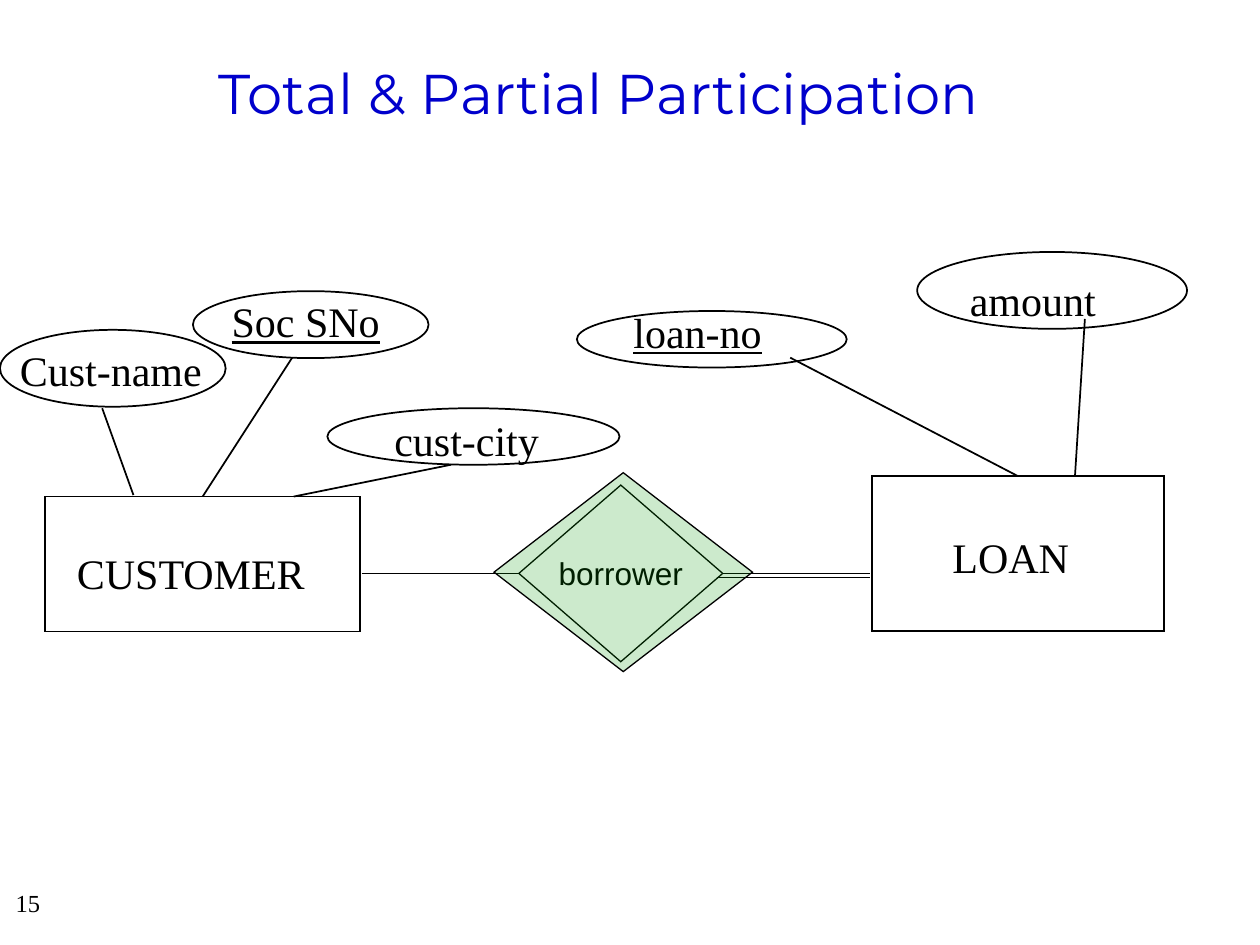
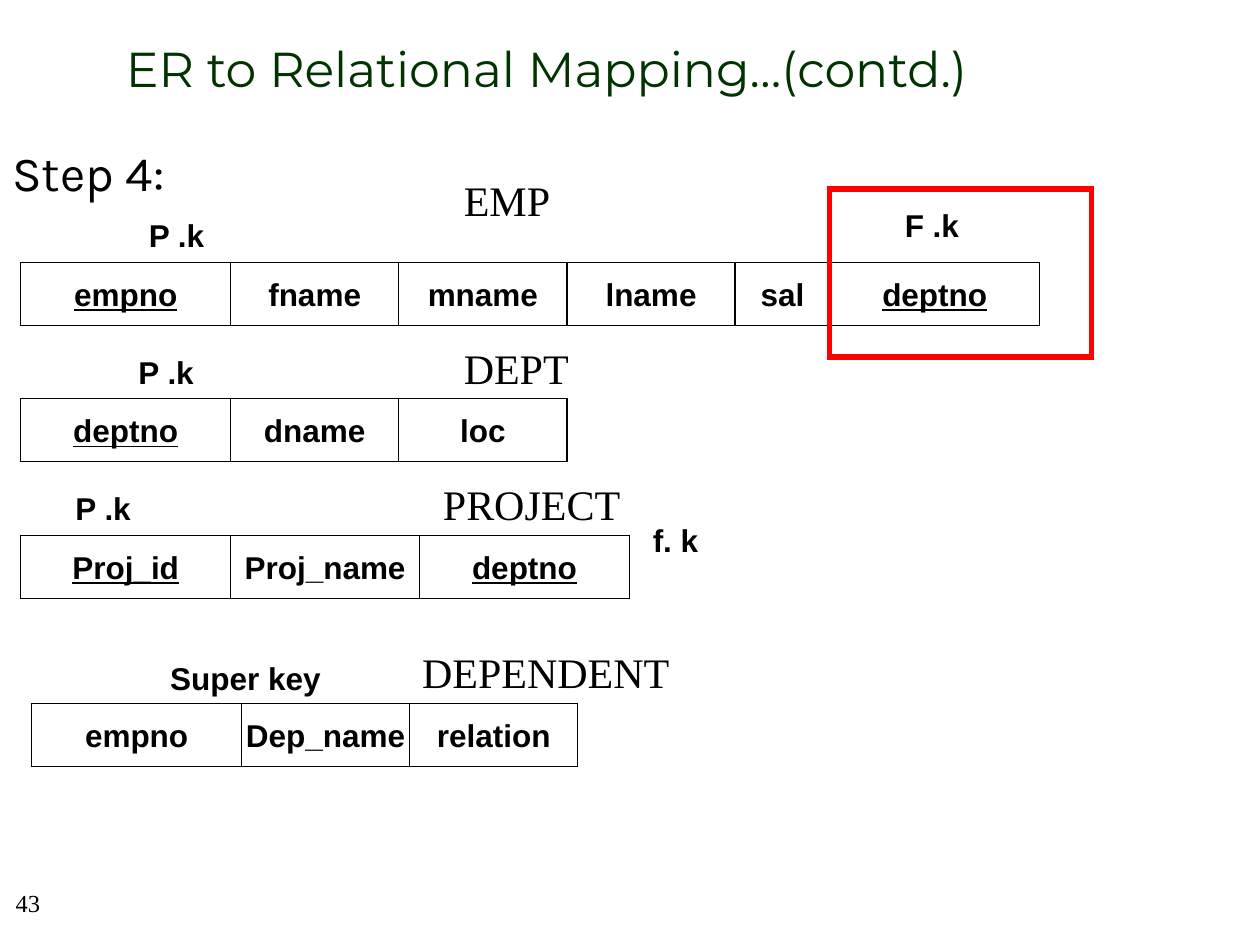
from typing import NamedTuple, Optional

from lxml import etree
from pptx import Presentation
from pptx.dml.color import RGBColor
from pptx.enum.shapes import MSO_CONNECTOR, MSO_SHAPE
from pptx.enum.text import MSO_ANCHOR, PP_ALIGN
from pptx.oxml.ns import qn
from pptx.util import Cm, Pt

STRAIGHT = MSO_CONNECTOR.STRAIGHT
RECTANGLE, OVAL = MSO_SHAPE.RECTANGLE, MSO_SHAPE.OVAL
DIAMOND, DECISION = MSO_SHAPE.DIAMOND, MSO_SHAPE.FLOWCHART_DECISION
LEFT, CENTER, RIGHT = PP_ALIGN.LEFT, PP_ALIGN.CENTER, PP_ALIGN.RIGHT
TOP, MIDDLE, BOTTOM = MSO_ANCHOR.TOP, MSO_ANCHOR.MIDDLE, MSO_ANCHOR.BOTTOM
SIDE_TOP, SIDE_LEFT, SIDE_RIGHT = 0, 1, 3

BLACK, BLUE, DARK_GREEN, GREEN, RED = "000000", "0000CC", "003300", "009900", "FF0000"
TITLE_WIDTH = 20.75
LABEL_HEIGHT = 1.27
ROW_HEIGHT = 1.27
KEY_WIDTH, FIELD_WIDTH = 4.23, 3.39


class Area(NamedTuple):
    """Left, top, width and height in centimetres."""
    left: float
    top: float
    width: float
    height: float


class Style(NamedTuple):
    font: str
    size: float
    color: str = BLACK
    bold: bool = False
    underline: bool = False


class Label(NamedTuple):
    text: str
    left: float
    top: float
    width: float


class Attribute(NamedTuple):
    oval: Area
    label: Label
    outer_end: tuple[float, float]
    entity_end: Optional[tuple[float, float]]  # None: middle of the entity's top
    is_key: bool = False


class Entity(NamedTuple):
    area: Area
    label: Label
    attributes: list[Attribute]


class Field(NamedTuple):
    name: str
    width: float = FIELD_WIDTH
    is_key: bool = False


class Relation(NamedTuple):
    name: Label
    left: float
    top: float
    fields: list[Field]
    key_notes: list[Label]


NAME = Style("Times New Roman", 24)
KEY_NAME = NAME._replace(underline=True)
CELL = Style("Arial", 18, bold=True)
KEY_CELL = CELL._replace(underline=True)
NUMBER = Style("Times New Roman", 14)

CUSTOMER = Entity(
    Area(0.91, 10.01, 6.35, 2.72), Label("CUSTOMER", 1.3, 10.92, 5.6), [
        Attribute(Area(0, 6.65, 4.55, 1.55), Label("Cust-name", 0.15, 6.83, 4.4),
                  (2.06, 8.23), (2.69, 9.98)),
        Attribute(Area(3.89, 5.87, 4.75, 1.35), Label("Soc SNo", 4.42, 5.84, 4),
                  (5.89, 7.21), None, True),
        Attribute(Area(6.6, 8.23, 5.89, 1.14), Label("cust-city", 7.7, 8.23, 4),
                  (9.09, 9.37), (5.92, 10.01)),
    ])
LOAN = Entity(
    Area(17.58, 9.6, 5.89, 3.12), Label("LOAN", 18.95, 10.59, 3.5), [
        Attribute(Area(11.63, 6.27, 5.44, 1.14), Label("loan-no", 12.52, 6.05, 4),
                  (15.93, 7.21), None, True),
        Attribute(Area(18.49, 5.08, 5.44, 1.55), Label("amount", 19.3, 5.41, 4),
                  (21.87, 6.43), (21.67, 9.6)),
    ])

RELATIONS = [
    Relation(Label("EMP", 9.1, 3.39, 3), 0.42, 5.29,
             [Field("empno", KEY_WIDTH, True), Field("fname"), Field("mname"),
              Field("lname"), Field("sal", 1.91), Field("deptno", KEY_WIDTH, True)],
             [Label("P .k", 2.75, 4.23, 2.12), Label("F .k", 17.99, 4.02, 2.12)]),
    Relation(Label("DEPT", 9.1, 6.77, 3), 0.42, 8.04,
             [Field("deptno", KEY_WIDTH, True), Field("dname"), Field("loc")],
             [Label("P .k", 2.54, 6.99, 2.12)]),
    Relation(Label("PROJECT", 8.68, 9.53, 6.17), 0.42, 10.8,
             [Field("Proj_id", KEY_WIDTH, True), Field("Proj_name", 3.81),
              Field("deptno", KEY_WIDTH, True)],
             [Label("P .k", 1.27, 9.74, 2.12), Label("f. k", 12.91, 10.37, 2.12)]),
    Relation(Label("DEPENDENT", 8.26, 12.91, 6.17), 0.64, 14.18,
             [Field("empno", KEY_WIDTH), Field("Dep_name"), Field("relation")],
             [Label("Super key", 3.18, 13.16, 5.08)]),
]


def rgb(color: str) -> RGBColor:
    return RGBColor.from_string(color)


def write(shape, text: str, style: Style, align=LEFT, anchor=TOP, wrap=False) -> None:
    frame = shape.text_frame
    frame.word_wrap = wrap
    frame.vertical_anchor = anchor
    para = frame.paragraphs[0]
    para.text = text
    para.alignment = align
    font = para.font
    font.name, font.size = style.font, Pt(style.size)
    font.bold, font.underline = style.bold, style.underline
    font.color.rgb = rgb(style.color)


def add_text(page, text: str, area: Area, style: Style, align=LEFT, anchor=TOP) -> None:
    box = page.shapes.add_textbox(*map(Cm, area))
    write(box, text, style, align, anchor, wrap=True)


def add_label(page, label: Label, style: Style) -> None:
    add_text(page, label.text, Area(label.left, label.top, label.width, LABEL_HEIGHT), style)


def add_outline(page, kind, area: Area, weight: float = 1, color: str = BLACK):
    shape = page.shapes.add_shape(kind, *map(Cm, area))
    shape.shadow.inherit = False
    shape.fill.background()
    shape.line.color.rgb = rgb(color)
    shape.line.width = Pt(weight)
    # Sharp corners
    etree.SubElement(shape._element.spPr.find(qn("a:ln")), qn("a:miter"), lim="800000")
    return shape


def add_line(page, start: tuple[float, float], end: tuple[float, float], weight: float = 1):
    line = page.shapes.add_connector(STRAIGHT, *map(Cm, start + end))
    line.line.color.rgb = rgb(BLACK)
    line.line.width = Pt(weight)
    etree.SubElement(line._element.spPr, qn("a:effectLst"))
    return line


def add_page(deck, title: str, title_area: Area, title_style: Style, number: int):
    page = deck.slides.add_slide(deck.slide_layouts[6])
    add_text(page, title, title_area, title_style, CENTER, BOTTOM)
    add_text(page, str(number), Area(0, 17.78, 1.06, 1.27), NUMBER, RIGHT)
    return page


def draw_entity(page, entity: Entity) -> None:
    rectangle = add_outline(page, RECTANGLE, entity.area)
    add_label(page, entity.label, NAME)
    for attribute in entity.attributes:
        add_outline(page, OVAL, attribute.oval)
        add_label(page, attribute.label, KEY_NAME if attribute.is_key else NAME)
        start = attribute.entity_end or entity.area[:2]
        line = add_line(page, start, attribute.outer_end)
        if attribute.entity_end is None:
            line.begin_connect(rectangle, SIDE_TOP)


def draw_relationship(page) -> None:
    middle = 11.56
    inner = add_outline(page, DECISION, Area(10.46, 9.78, 4.11, 3.56), 0.75)
    write(inner, "borrower", Style("Arial", 18), CENTER, MIDDLE)

    # Single line for partial, double line for total participation
    add_line(page, (7.29, middle), (10.46, middle)).end_connect(inner, SIDE_LEFT)
    add_line(page, (14.57, middle), (17.53, middle)).begin_connect(inner, SIDE_RIGHT)
    add_line(page, (14.45, 11.64), (17.53, 11.64), 0.75)

    # Translucent diamond over the relationship
    outer = add_outline(page, DIAMOND, Area(9.96, 9.53, 5.21, 4.01), 0.75)
    outer.fill.solid()
    outer.fill.fore_color.rgb = rgb(GREEN)
    tint = outer._element.spPr.find(qn("a:solidFill")).find(qn("a:srgbClr"))
    etree.SubElement(tint, qn("a:alpha"), val="20000")


def draw_relation(page, relation: Relation) -> None:
    add_label(page, relation.name, NAME)
    left = relation.left
    for field in relation.fields:
        cell = add_outline(page, RECTANGLE, Area(left, relation.top, field.width, ROW_HEIGHT), 0.75)
        write(cell, field.name, KEY_CELL if field.is_key else CELL, CENTER, MIDDLE)
        left += field.width
    for note in relation.key_notes:
        add_label(page, note, CELL)


def build_participation(deck) -> None:
    page = add_page(deck, "Total & Partial Participation",
                    Area(1.7, 1.04, TITLE_WIDTH, 1.63), Style("Montserrat", 32, BLUE), 15)
    for entity in (CUSTOMER, LOAN):
        draw_entity(page, entity)
    draw_relationship(page)


def build_mapping(deck) -> None:
    page = add_page(deck, "ER to Relational Mapping…(contd.)",
                    Area(0.64, 0.64, TITLE_WIDTH, 1.45), Style("Montserrat", 28, DARK_GREEN), 43)
    add_label(page, Label("Step 4:", 0, 2.75, 4.23), Style("Karla", 28))
    for relation in RELATIONS:
        draw_relation(page, relation)
    # Frame around the foreign key
    add_outline(page, RECTANGLE, Area(16.72, 3.81, 5.29, 3.39), 3, RED)


def main() -> None:
    deck = Presentation()
    deck.slide_width, deck.slide_height = Cm(25.4), Cm(19.05)
    build_participation(deck)
    build_mapping(deck)
    deck.save("out.pptx")


if __name__ == "__main__":
    main()
